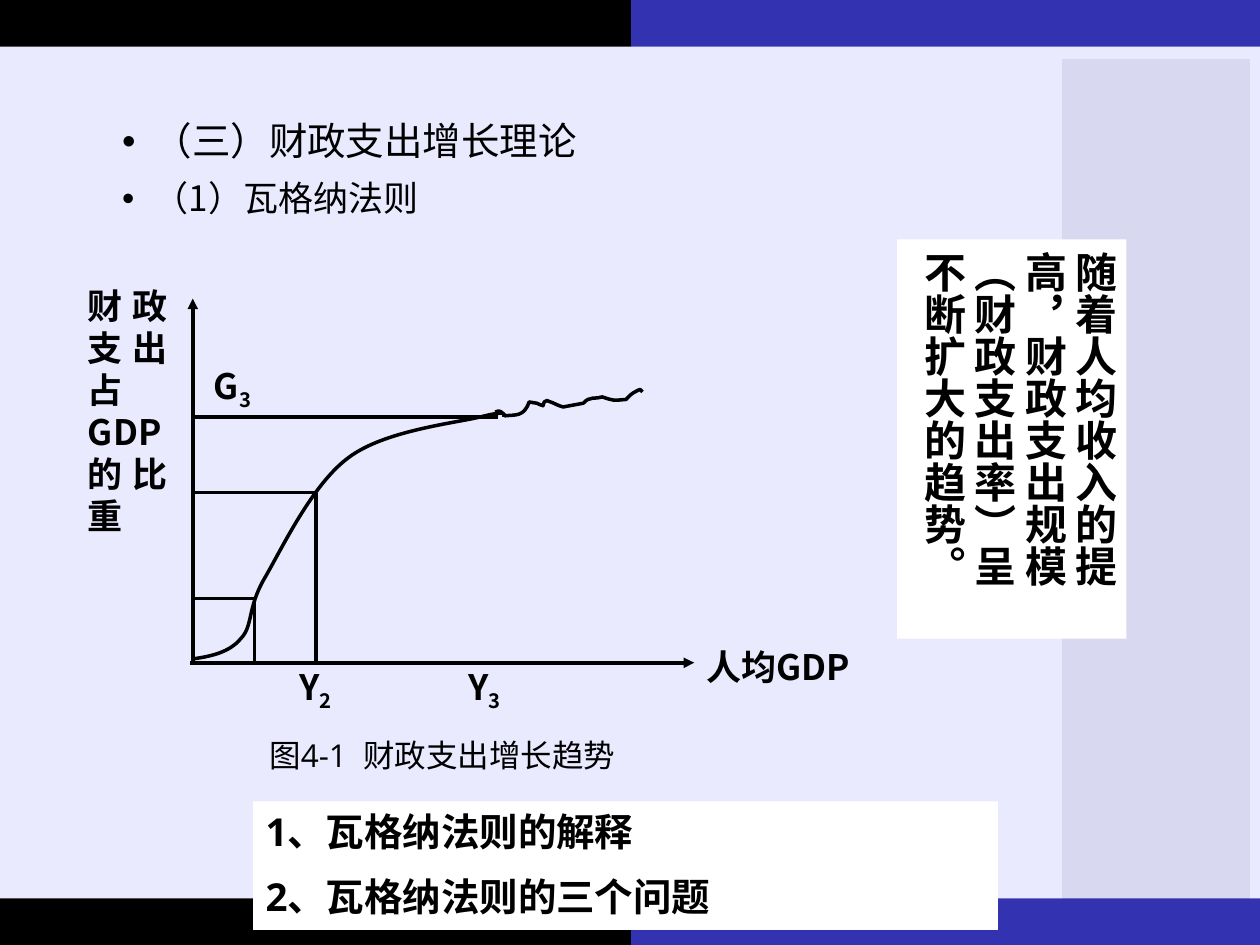
from pptx import Presentation
from pptx.dml.color import RGBColor
from pptx.enum.shapes import MSO_CONNECTOR, MSO_SHAPE
from pptx.enum.text import MSO_ANCHOR, MSO_AUTO_SIZE, PP_ALIGN
from pptx.oxml.ns import qn
from pptx.util import Inches, Pt
from lxml.etree import SubElement

CJK = "Noto Sans CJK SC"
LATIN = "Open Sans"
SERIF = "Times New Roman"
BLACK, WHITE, BLUE = "000000", "FFFFFF", "3333B2"
PALE, PANEL = "EAEAFF", "D8D8F0"


def color(hex_string):
    return RGBColor.from_string(hex_string)


def write_text(paragraph, text, size=20, font=CJK, bold=False, subscript="",
               align=None, before=0, spacing=None):
    paragraph.alignment = align
    paragraph.space_before = Pt(before)
    paragraph.line_spacing = spacing
    for part, lowered in ((text, False), (subscript, True)):
        if not part:
            continue
        run = paragraph.add_run()
        run.text = part
        run.font.size = Pt(size)
        run.font.bold = bold
        run.font.color.rgb = color(BLACK)
        run.font.name = font
        properties = run.font._element
        SubElement(properties, qn("a:ea")).set("typeface", CJK)
        if lowered:
            properties.set("baseline", "-25000")


def add_panel(slide, box, fill):
    shape = slide.shapes.add_shape(MSO_SHAPE.RECTANGLE, *map(Inches, box))
    shape.shadow.inherit = False
    shape.fill.solid()
    shape.fill.fore_color.rgb = color(fill)
    shape.line.fill.background()
    shape.text_frame.word_wrap = True
    shape.text_frame.vertical_anchor = MSO_ANCHOR.TOP
    return shape


def add_label(slide, box, text, **text_format):
    shape = slide.shapes.add_textbox(*map(Inches, box))
    shape.text_frame.word_wrap = True
    write_text(shape.text_frame.paragraphs[0], text, **text_format)


def add_line(slide, start, end, arrow=False):
    line = slide.shapes.add_connector(
        MSO_CONNECTOR.STRAIGHT, *map(Inches, (*start, *end)))
    line.line.color.rgb = color(BLACK)
    line.line.width = Pt(2)
    SubElement(line._element.spPr, qn("a:effectLst"))
    if arrow:
        SubElement(line.line._get_or_add_ln(), qn("a:tailEnd")).set("type", "triangle")


def add_curve(slide, origin, start, segments):
    points = [start, *(point for segment in segments for point in segment)]
    placed = [(Inches(origin[0] + x), Inches(origin[1] + y)) for x, y in points]
    builder = slide.shapes.build_freeform(*placed[0])
    builder.add_line_segments(placed[1:], close=False)
    curve = builder.convert_to_shape()
    curve.shadow.inherit = False
    curve.fill.background()
    curve.line.color.rgb = color(BLACK)
    curve.line.width = Pt(2)
    outline = next(curve._element.iter(qn("a:path")))
    vertices = outline.findall(qn("a:lnTo"))
    for first in range(0, len(vertices), 3):
        bezier = SubElement(outline, qn("a:cubicBezTo"))
        for vertex in vertices[first:first + 3]:
            bezier.append(vertex[0])
            outline.remove(vertex)


def add_backdrop(slide, width, height):
    band, split = 0.37, 5.01
    add_panel(slide, (0, band, width, height - 2 * band), PALE)
    add_panel(slide, (8.43, 0.47, 1.49, 6.74), PANEL)
    for top in (0, height - band):
        add_panel(slide, (0, top, split, band), BLACK)
        add_panel(slide, (split, top, width - split, band), BLUE)


def add_outline(slide, box):
    body = slide.placeholders[1]
    body.left, body.top, body.width, body.height = map(Inches, box)
    frame = body.text_frame
    frame.auto_size = MSO_AUTO_SIZE.NONE
    frame.vertical_anchor = MSO_ANCHOR.TOP
    items = (("（三）财政支出增长理论", 22), ("（1）瓦格纳法则", 20))
    for index, (text, size) in enumerate(items):
        paragraph = frame.add_paragraph() if index else frame.paragraphs[0]
        write_text(paragraph, text, size=size, before=10, spacing=0.9)
        properties = paragraph._p.get_or_add_pPr()
        properties.set("marL", str(Inches(0.25)))
        properties.set("indent", str(-Inches(0.25)))
        SubElement(properties, qn("a:buChar")).set("char", "•")
    slide.shapes._spTree.append(body._element)


def add_growth_diagram(slide, left, top):
    def at(x, y):
        return left + x, top + y

    base = 2.89
    add_line(slide, at(-0.02, base), at(3.98, base), arrow=True)
    add_line(slide, at(0, base), at(0, 0), arrow=True)
    for x, y in ((0.49, 2.38), (0.98, 1.54), (2.42, 0.94)):
        add_line(slide, at(0, y), at(x, y))
    for x, y in ((0.49, 2.41), (0.98, 1.54)):
        add_line(slide, at(x, y), at(x, base))

    add_curve(slide, (left, top), (0, 2.86), [
        ((0.14, 2.84), (0.29, 2.81), (0.38, 2.7)),
        ((0.48, 2.6), (0.43, 2.46), (0.57, 2.22)),
        ((0.71, 1.98), (0.95, 1.47), (1.24, 1.26)),
        ((1.52, 1.05), (2.07, 0.99), (2.28, 0.94)),
        ((2.48, 0.89), (2.48, 0.91), (2.47, 0.94))])
    add_curve(slide, (left, top), (2.4, 0.9), [
        ((2.44, 0.88), (2.45, 0.9), (2.48, 0.93)),
        ((2.56, 0.92), (2.63, 0.94), (2.67, 0.82)),
        ((2.69, 0.82), (2.71, 0.83), (2.73, 0.83)),
        ((2.75, 0.84), (2.78, 0.85), (2.78, 0.85)),
        ((2.78, 0.84), (2.78, 0.83), (2.79, 0.82)),
        ((2.8, 0.8), (2.82, 0.81), (2.84, 0.82)),
        ((2.87, 0.83), (2.9, 0.85), (2.94, 0.86)),
        ((2.99, 0.85), (3.05, 0.84), (3.1, 0.83)),
        ((3.15, 0.77), (3.2, 0.8), (3.25, 0.78)),
        ((3.34, 0.81), (3.33, 0.81), (3.44, 0.8)),
        ((3.48, 0.75), (3.51, 0.74), (3.55, 0.72)),
        ((3.56, 0.73), (3.57, 0.74), (3.57, 0.74))])

    for x, y, width, height, text, subscript in (
            (0.07, 0.47, 0.83, 0.48, "G", "3"),
            (2.09, 2.86, 1, 0.48, "Y", "3"),
            (0.75, 2.86, 0.67, 0.48, "Y", "2"),
            (3.98, 2.7, 1.5, 0.48, "人均GDP", ""),
            (-0.93, -0.16, 0.83, 1.76, "财政支出占GDP的比重", "")):
        add_label(slide, (*at(x, y), width, height), text, subscript=subscript,
                  bold=True, align=PP_ALIGN.JUSTIFY)
    add_label(slide, (*at(-0.54, 3.42), 5.04, 0.4), "图4-1  财政支出增长趋势",
              size=18, font=LATIN, align=PP_ALIGN.CENTER)


def add_topics(slide, box):
    frame = add_panel(slide, box, WHITE).text_frame
    for index, text in enumerate(("1、瓦格纳法则的解释", "2、瓦格纳法则的三个问题")):
        paragraph = frame.add_paragraph() if index else frame.paragraphs[0]
        write_text(paragraph, text, size=22, font=LATIN, bold=True,
                   align=PP_ALIGN.LEFT, before=11 * index)


def add_vertical_statement(slide, box):
    frame = add_panel(slide, box, WHITE).text_frame
    frame._txBody.bodyPr.set("vert", "eaVert")
    write_text(frame.paragraphs[0],
               "随着人均收入的提高，财政支出规模（财政支出率）呈不断扩大的趋势。",
               size=24, font=SERIF, bold=True, align=PP_ALIGN.LEFT)


presentation = Presentation()
presentation.slide_width = Inches(10)
presentation.slide_height = Inches(7.5)
slide = presentation.slides.add_slide(presentation.slide_layouts[1])
title = slide.shapes.title._element
title.getparent().remove(title)
add_backdrop(slide, 10, 7.5)
add_outline(slide, (0.87, 0.92, 7.52, 5.51))
add_growth_diagram(slide, 1.53, 2.37)
add_topics(slide, (2.01, 6.36, 5.91, 1.02))
add_vertical_statement(slide, (7.12, 1.9, 1.82, 3.17))
presentation.save("out.pptx")
